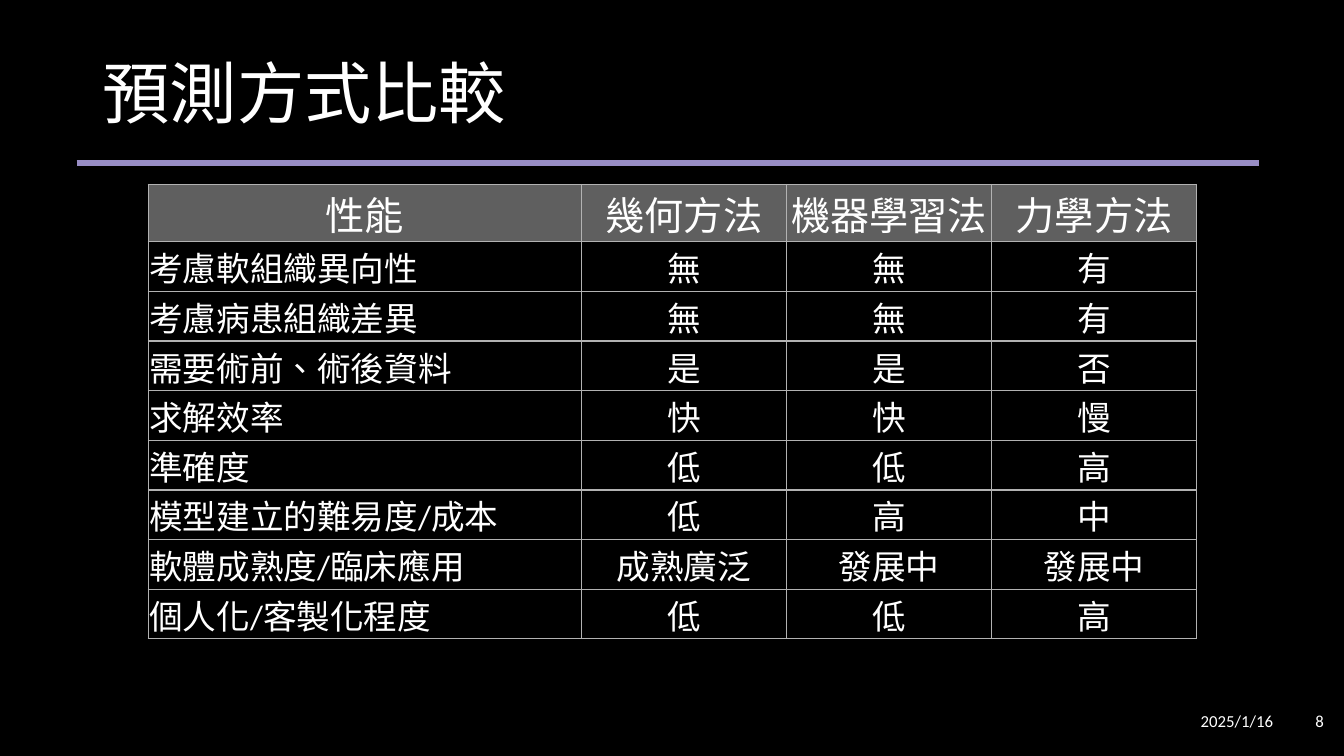
import lxml.etree
import pptx
import pptx.dml.color
import pptx.enum.shapes
import pptx.enum.text
import pptx.oxml.ns
import pptx.util

Inches = pptx.util.Inches
Align = pptx.enum.text.PP_ALIGN
WHITE = "FFFFFF"
HEADER_FILL = "5F5F5F"
BORDER = "B2B2B2"
COMPARISON = [
    ("性能", "幾何方法", "機器學習法", "力學方法"),
    ("考慮軟組織異向性", "無", "無", "有"),
    ("考慮病患組織差異", "無", "無", "有"),
    ("需要術前、術後資料", "是", "是", "否"),
    ("求解效率", "快", "快", "慢"),
    ("準確度", "低", "低", "高"),
    ("模型建立的難易度/成本", "低", "高", "中"),
    ("軟體成熟度/臨床應用", "成熟廣泛", "發展中", "發展中"),
    ("個人化/客製化程度", "低", "低", "高"),
]


def color(value):
    return pptx.dml.color.RGBColor.from_string(value)


def write(text_frame, text, size, align):
    text_frame.text = text
    paragraph = text_frame.paragraphs[0]
    paragraph.alignment = align
    for run in paragraph.runs:
        run.font.name = "Calibri"
        run.font.size = pptx.util.Pt(size)
        run.font.color.rgb = color(WHITE)
        run._r.get_or_add_rPr().set("lang", "zh-TW")
    return paragraph


def add_label(slide, box, text, size, align=Align.LEFT):
    label = slide.shapes.add_textbox(*map(Inches, box)).text_frame
    label.word_wrap = True
    label.vertical_anchor = pptx.enum.text.MSO_ANCHOR.MIDDLE
    return write(label, text, size, align)


def add_heading(slide, left, top, width):
    title = add_label(slide, (left + 0.16, top, 11.5, 1.12), "預測方式比較", 48)
    title.line_spacing = 0.9
    rule_y = Inches(top + 1.22)
    rule = slide.shapes.add_connector(
        pptx.enum.shapes.MSO_CONNECTOR.STRAIGHT,
        Inches(left), rule_y, Inches(left + width), rule_y)
    rule.line.color.rgb = color("988DC4")
    rule.line.width = pptx.util.Pt(4.5)
    lxml.etree.SubElement(rule._element.spPr, pptx.oxml.ns.qn("a:effectLst"))


def add_borders(cell):
    properties = cell._tc.get_or_add_tcPr()
    qn = pptx.oxml.ns.qn
    for side in ("a:lnL", "a:lnR", "a:lnT", "a:lnB"):
        border = lxml.etree.SubElement(properties, qn(side), w=str(pptx.util.Pt(1)))
        fill = lxml.etree.SubElement(border, qn("a:solidFill"))
        lxml.etree.SubElement(fill, qn("a:srgbClr"), val=BORDER)


def add_comparison(slide, left, top, width, height):
    rows, columns = len(COMPARISON), len(COMPARISON[0])
    table = slide.shapes.add_table(
        rows, columns, *map(Inches, (left, top, width, height))).table
    table.first_row = False
    table.horz_banding = False
    method_width = 2.035
    header_height = 0.57
    body_height = (height - header_height) / (rows - 1)
    table.columns[0].width = Inches(width - method_width * (columns - 1))
    for column in range(1, columns):
        table.columns[column].width = Inches(method_width)
    for row, values in enumerate(COMPARISON):
        table.rows[row].height = Inches(body_height if row else header_height)
        for column, value in enumerate(values):
            cell = table.cell(row, column)
            cell.margin_left = cell.margin_right = cell.margin_top = Inches(0.01)
            cell.margin_bottom = 0
            cell.vertical_anchor = pptx.enum.text.MSO_ANCHOR.MIDDLE
            add_borders(cell)
            if row == 0:
                cell.fill.solid()
                cell.fill.fore_color.rgb = color(HEADER_FILL)
            else:
                cell.fill.background()
            align = Align.LEFT if row and column == 0 else Align.CENTER
            write(cell.text_frame, value, 24 if row else 28, align)


def add_footer(slide, left, top, height):
    add_label(slide, (left + 0.94, top, 0.48, height), "8", 12, Align.RIGHT)
    add_label(slide, (left, top, 1.04, height), "2025/1/16", 12)


def main():
    presentation = pptx.Presentation()
    presentation.slide_width = Inches(13.33)
    presentation.slide_height = Inches(7.5)
    slide = presentation.slides.add_slide(presentation.slide_layouts[6])
    slide.background.fill.solid()
    slide.background.fill.fore_color.rgb = color("000000")
    add_heading(slide, 0.76, 0.4, 11.73)
    add_footer(slide, 11.81, 6.95, 0.4)
    add_comparison(slide, 1.47, 1.83, 10.4, 4.51)
    presentation.save("out.pptx")


if __name__ == "__main__":
    main()
